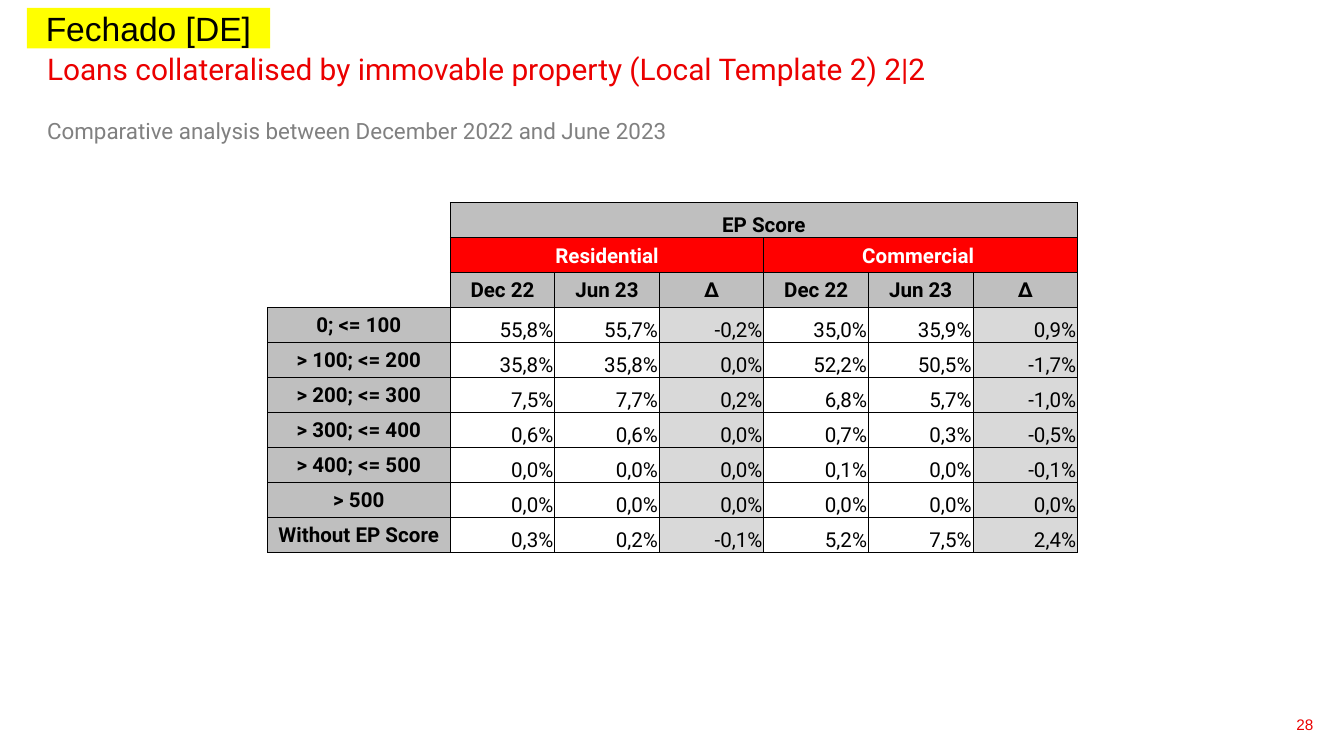
from dataclasses import dataclass

from lxml import etree
from pptx import Presentation
from pptx.dml.color import RGBColor
from pptx.enum.shapes import MSO_SHAPE
from pptx.enum.text import MSO_ANCHOR, PP_ALIGN
from pptx.oxml.ns import qn
from pptx.util import Inches, Pt

RECTANGLE = MSO_SHAPE.RECTANGLE
TOP, MIDDLE, BOTTOM = MSO_ANCHOR.TOP, MSO_ANCHOR.MIDDLE, MSO_ANCHOR.BOTTOM
LEFT, CENTER, RIGHT = PP_ALIGN.LEFT, PP_ALIGN.CENTER, PP_ALIGN.RIGHT


@dataclass(frozen=True)
class Theme:
    """Colours, fonts and type sizes of the slide."""
    accent: str = "EB0000"
    muted: str = "808080"
    black: str = "000000"
    white: str = "FFFFFF"
    band: str = "FF0000"
    header: str = "BFBFBF"
    delta: str = "D9D9D9"
    highlight: str = "FFFF00"
    body_font: str = "Roboto"
    plain_font: str = "Arial"
    title_size: float = 16
    subtitle_size: float = 12
    table_size: float = 11
    status_size: float = 18
    number_size: float = 8.2
    border: float = 0.5


THEME = Theme()
PERIODS = ["Dec 22", "Jun 23", "∆"]
SEGMENTS = ["Residential", "Commercial "]
SCORES = [
    ("0; <= 100", "55,8%", "55,7%", "-0,2%", "35,0%", "35,9%", "0,9%"),
    ("> 100; <= 200", "35,8%", "35,8%", "0,0%", "52,2%", "50,5%", "-1,7%"),
    ("> 200; <= 300", "7,5%", "7,7%", "0,2%", "6,8%", "5,7%", "-1,0%"),
    ("> 300; <= 400", "0,6%", "0,6%", "0,0%", "0,7%", "0,3%", "-0,5%"),
    ("> 400; <= 500", "0,0%", "0,0%", "0,0%", "0,1%", "0,0%", "-0,1%"),
    ("> 500", "0,0%", "0,0%", "0,0%", "0,0%", "0,0%", "0,0%"),
    ("Without EP Score", "0,3%", "0,2%", "-0,1%", "5,2%", "7,5%", "2,4%"),
]
HEADER_ROWS = 3


def add_run(paragraph, text, size, color, font=THEME.body_font, bold=False, align=LEFT):
    """Add one styled run to an aligned paragraph."""
    paragraph.alignment = align
    run = paragraph.add_run()
    run.text = text
    run.font.size = Pt(size)
    run.font.name = font
    run.font.bold = bold
    run.font.color.rgb = RGBColor.from_string(color)


def set_insets(target, left, top, right, bottom):
    """Set the inner margins of a cell or text frame."""
    target.margin_left, target.margin_top = Inches(left), Inches(top)
    target.margin_right, target.margin_bottom = Inches(right), Inches(bottom)


def add_heading(slide, left, top, width, height):
    """Place the title and the subtitle."""
    frame = slide.shapes.add_textbox(
        Inches(left), Inches(top), Inches(width), Inches(height)).text_frame
    frame.word_wrap = True
    set_insets(frame, 0, 0, 0, 0)
    add_run(frame.paragraphs[0],
            "Loans collateralised by immovable property (Local Template 2) 2|2",
            THEME.title_size, THEME.accent)
    subtitle = frame.add_paragraph()
    subtitle.space_before = Pt(16.4)
    add_run(subtitle, "Comparative analysis between December 2022 and June 2023",
            THEME.subtitle_size, THEME.muted)


def add_status(slide, left, top, width, height):
    """Place the highlighted status label."""
    label = slide.shapes.add_shape(
        RECTANGLE, Inches(left), Inches(top), Inches(width), Inches(height))
    label.shadow.inherit = False
    label.fill.solid()
    label.fill.fore_color.rgb = RGBColor.from_string(THEME.highlight)
    label.line.fill.background()
    label.text_frame.vertical_anchor = MIDDLE
    label.text_frame.word_wrap = True
    add_run(label.text_frame.paragraphs[0], "Fechado [DE]", THEME.status_size,
            THEME.black, THEME.plain_font, align=CENTER)


def add_page_number(slide, left, top, width, height):
    """Place the page number."""
    frame = slide.shapes.add_textbox(
        Inches(left), Inches(top), Inches(width), Inches(height)).text_frame
    frame.word_wrap = True
    frame.vertical_anchor = TOP
    add_run(frame.paragraphs[0], "28", THEME.number_size, THEME.accent,
            THEME.plain_font, align=RIGHT)


def set_borders(cell, visible):
    """Draw the named cell edges and hide the others."""
    properties = cell._tc.get_or_add_tcPr()
    for edge in "LRTB":
        line = etree.SubElement(properties, qn(f"a:ln{edge}"), w=str(Pt(THEME.border)))
        if edge in visible:
            fill = etree.SubElement(line, qn("a:solidFill"))
            etree.SubElement(fill, qn("a:srgbClr"), val=THEME.black)
        else:
            etree.SubElement(line, qn("a:noFill"))


def style_cell(cell, fill=None, borders="LRTB"):
    """Give a cell its insets, edges and fill."""
    set_insets(cell, 0.01, 0.01, 0.01, 0)
    set_borders(cell, borders)
    if fill:
        cell.fill.solid()
        cell.fill.fore_color.rgb = RGBColor.from_string(fill)
    else:
        cell.fill.background()


def write_cell(cell, text, color=THEME.black, bold=True, align=CENTER, anchor=MIDDLE):
    """Write the text of a cell."""
    cell.vertical_anchor = anchor
    add_run(cell.text_frame.paragraphs[0], text, THEME.table_size, color,
            bold=bold, align=align)


def fill_header(table):
    """Fill the three header rows and clear the corner."""
    last = len(table.columns) - 1
    for row, fill in enumerate((THEME.header, THEME.band, THEME.header)):
        corner = table.cell(row, 0)
        style_cell(corner, borders="RB" if row == HEADER_ROWS - 1 else "R")
        etree.SubElement(corner.text_frame.paragraphs[0]._p, qn("a:endParaRPr"),
                         sz=str(THEME.table_size * 100))
        for column in range(1, last + 1):
            style_cell(table.cell(row, column), fill)
    table.cell(0, 1).merge(table.cell(0, last))
    write_cell(table.cell(0, 1), "EP Score", anchor=BOTTOM)
    for index, segment in enumerate(SEGMENTS):
        first = 1 + index * len(PERIODS)
        table.cell(1, first).merge(table.cell(1, first + len(PERIODS) - 1))
        write_cell(table.cell(1, first), segment, THEME.white)
        for offset, period in enumerate(PERIODS):
            write_cell(table.cell(2, first + offset), period)


def fill_scores(table):
    """Fill the score bands and their shares."""
    for row, (band, *shares) in enumerate(SCORES, HEADER_ROWS):
        style_cell(table.cell(row, 0), THEME.header)
        write_cell(table.cell(row, 0), band)
        for column, share in enumerate(shares, 1):
            is_delta = column % len(PERIODS) == 0
            style_cell(table.cell(row, column), THEME.delta if is_delta else None)
            write_cell(table.cell(row, column), share, bold=False, align=RIGHT, anchor=BOTTOM)


def add_score_table(slide, left, top, width, height):
    """Place the table of EP scores by segment and period."""
    rows, columns = HEADER_ROWS + len(SCORES), len(SCORES[0])
    table = slide.shapes.add_table(
        rows, columns, Inches(left), Inches(top), Inches(width), Inches(height)).table
    table.first_row = table.horz_banding = False
    band_width = 1.36
    for index, column in enumerate(table.columns):
        column.width = Inches((width - band_width) / (columns - 1) if index else band_width)
    for row in table.rows:
        row.height = Inches(height / rows)
    fill_header(table)
    fill_scores(table)


def main():
    """Build the slide and save it."""
    deck = Presentation()
    deck.slide_width = Inches(10)
    deck.slide_height = deck.slide_width * 9 // 16
    slide = deck.slides.add_slide(deck.slide_layouts[6])
    add_page_number(slide, 7.62, 5.27, 2.25, 0.3)
    add_heading(slide, 0.35, 0.38, 9.29, 0.71)
    add_score_table(slide, 1.99, 1.51, 6.03, 2.6)
    add_status(slide, 0.2, 0.06, 1.81, 0.3)
    deck.save("out.pptx")


if __name__ == "__main__":
    main()
